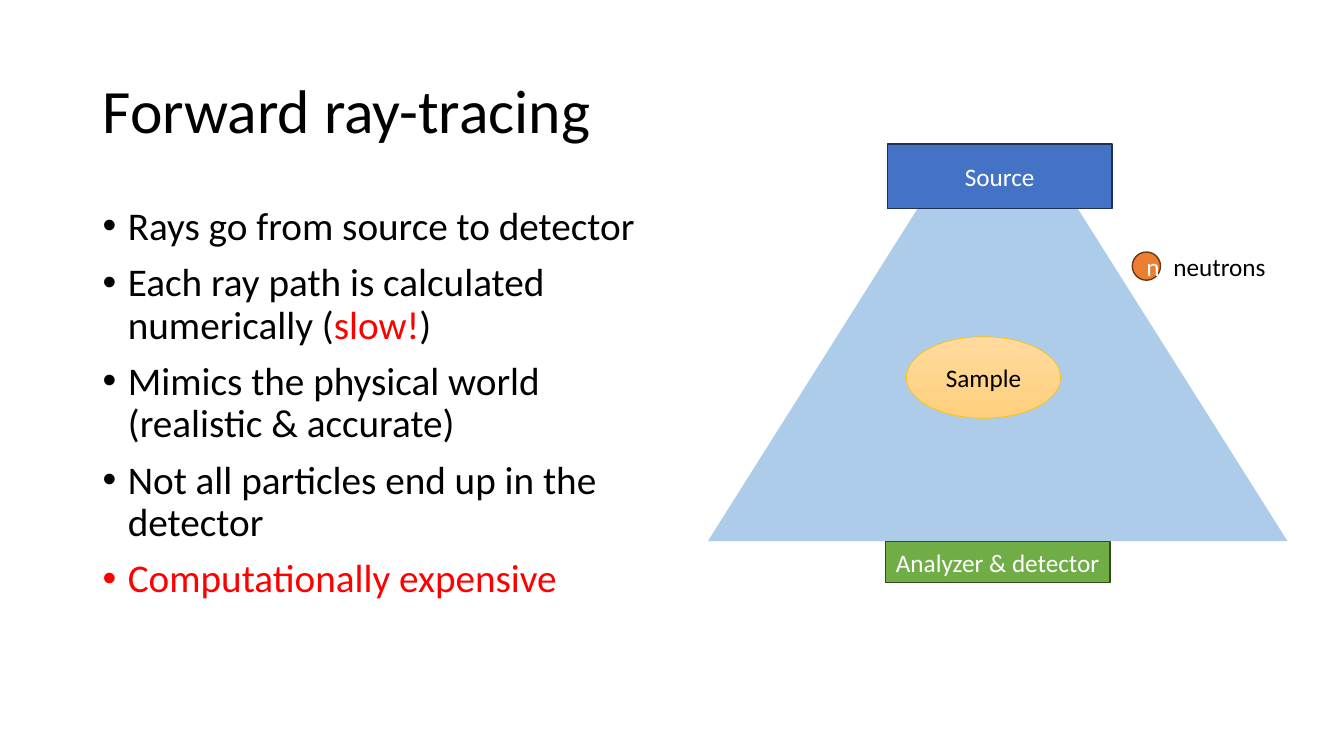
from lxml import etree
from pptx import Presentation
from pptx.dml.color import RGBColor
from pptx.enum.shapes import MSO_SHAPE
from pptx.enum.text import MSO_ANCHOR, MSO_AUTO_SIZE, PP_ALIGN
from pptx.oxml.ns import qn
from pptx.util import Inches, Pt

RECTANGLE = MSO_SHAPE.RECTANGLE
OVAL = MSO_SHAPE.OVAL
TRIANGLE = MSO_SHAPE.ISOSCELES_TRIANGLE
MIDDLE = MSO_ANCHOR.MIDDLE
CENTER = PP_ALIGN.CENTER
GROW = MSO_AUTO_SIZE.SHAPE_TO_FIT_TEXT

FONT = "Calibri"
BLACK, WHITE, RED = "000000", "FFFFFF", "FF0000"
TITLE_SIZE, BODY_SIZE, LABEL_SIZE = 44, 28, 18
LEFT, COLUMN_WIDTH = 0.92, 5.75

TITLE = "Forward ray-tracing"
BULLETS = [
    [("Rays go from source to detector", BLACK)],
    [("Each ray path is calculated numerically (", BLACK), ("slow!", RED), (")", BLACK)],
    [("Mimics the physical world (realistic & accurate)", BLACK)],
    [("Not all particles end up in the detector", BLACK)],
    [("Computationally expensive", RED)],
]
BEAM = (TRIANGLE, (7.02, 0.81, COLUMN_WIDTH, 4.56), "5B9BD5", None, 0, "", WHITE)
PARTS = [
    (RECTANGLE, (8.78, 5.37, 2.23, 0.41), "70AD47", "314C1F", 1, "Analyzer & detector", WHITE),
    (RECTANGLE, (9.05, 0.4, 1.48, 1.06), WHITE, WHITE, 1, "", WHITE),
    (OVAL, (11.23, 2.5, 0.28, 0.28), "ED7D31", "683715", 1, "n", WHITE),
    (RECTANGLE, (8.8, 1.43, 2.23, 0.64), "4472C4", "1E3256", 1, "Source", WHITE),
    (OVAL, (8.99, 3.34, 1.53, 0.81), ("FFDB9E", "FFD07C"), "FFC000", 0.5, "Sample", BLACK),
]


def color(value):
    return RGBColor.from_string(value)


def add_span(para, text, size, ink):
    span = para.add_run()
    span.text = text
    span.font.name = FONT
    span.font.size = Pt(size)
    span.font.color.rgb = color(ink)


def add_box(page, place, wrap=True):
    box = page.shapes.add_textbox(*map(Inches, place))
    box.text_frame.word_wrap = wrap
    return box.text_frame


def add_part(page, kind, place, fill, line, line_width, label, ink):
    shape = page.shapes.add_shape(kind, *map(Inches, place))
    shape.shadow.inherit = False
    if isinstance(fill, tuple):
        shape.fill.gradient()
        shape.fill.gradient_angle = 270
        for stop, value in zip(shape.fill.gradient_stops, fill):
            stop.color.rgb = color(value)
    else:
        shape.fill.solid()
        shape.fill.fore_color.rgb = color(fill)
    if line:
        shape.line.color.rgb = color(line)
        shape.line.width = Pt(line_width)
    else:
        shape.line.fill.background()
    if label:
        frame = shape.text_frame
        frame.vertical_anchor = MIDDLE
        frame.paragraphs[0].alignment = CENTER
        add_span(frame.paragraphs[0], label, LABEL_SIZE, ink)
    return shape


def add_bullet(para):
    properties = para._p.get_or_add_pPr()
    properties.set("marL", str(Inches(0.25)))
    properties.set("indent", str(-Inches(0.25)))
    etree.SubElement(properties, qn("a:buFont"), typeface="Arial")
    etree.SubElement(properties, qn("a:buChar"), char="•")


def main():
    deck = Presentation()
    deck.slide_width, deck.slide_height = Inches(13.33), Inches(7.5)
    page = deck.slides.add_slide(deck.slide_layouts[6])

    beam = add_part(page, *BEAM)
    beam_color = beam.fill._xPr.find(".//" + qn("a:srgbClr"))
    etree.SubElement(beam_color, qn("a:alpha"), val="50000")

    title = add_box(page, (LEFT, 0.4, 11.5, 1.45))
    title.vertical_anchor = MIDDLE
    title.paragraphs[0].line_spacing = 0.9
    add_span(title.paragraphs[0], TITLE, TITLE_SIZE, BLACK)

    body = add_box(page, (LEFT, 2, COLUMN_WIDTH, 4.76))
    for index, spans in enumerate(BULLETS):
        para = body.add_paragraph() if index else body.paragraphs[0]
        para.line_spacing = 0.9
        para.space_before = Pt(10)
        add_bullet(para)
        for text, ink in spans:
            add_span(para, text, BODY_SIZE, ink)

    for part in PARTS:
        add_part(page, *part)

    legend = add_box(page, (11.54, 2.44, 1.13, 0.4), wrap=False)
    legend.auto_size = GROW
    add_span(legend.paragraphs[0], "neutrons", LABEL_SIZE, BLACK)

    deck.save("out.pptx")


if __name__ == "__main__":
    main()
